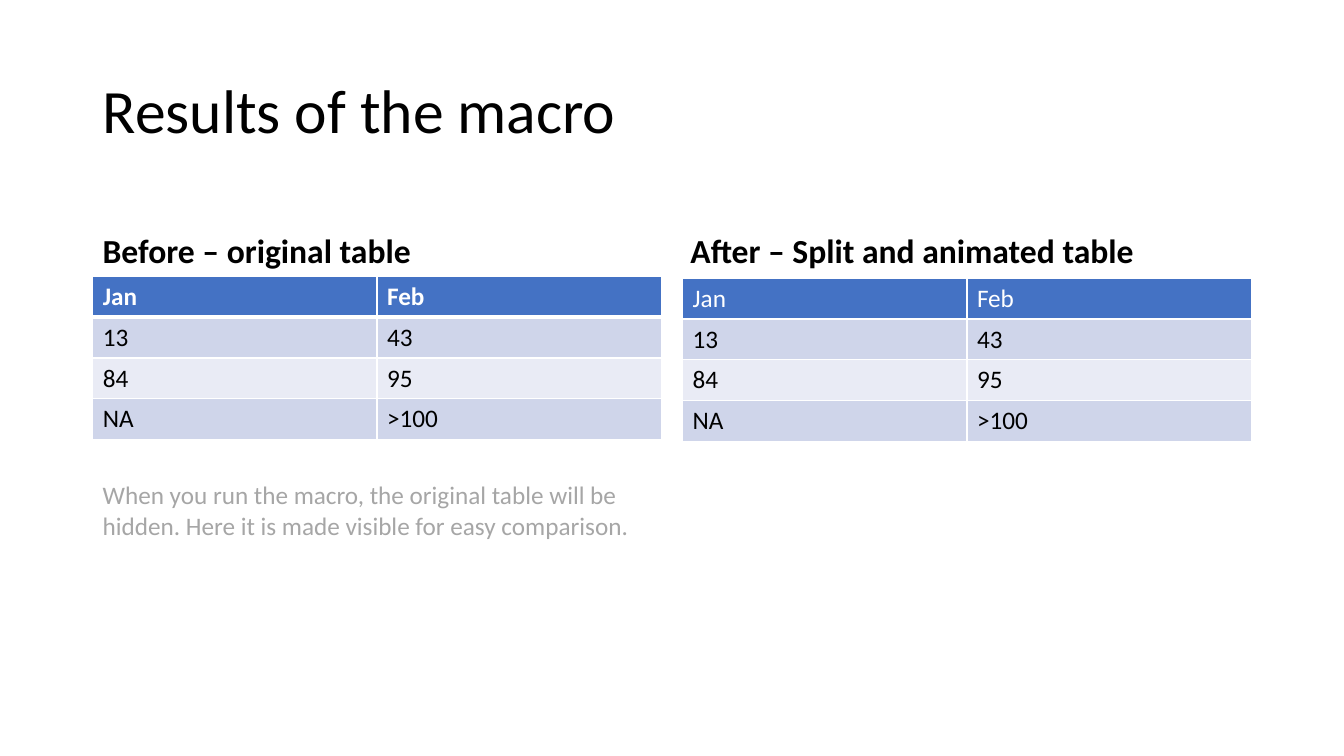
from lxml.etree import SubElement
from pptx import Presentation
from pptx.dml.color import RGBColor
from pptx.enum.text import MSO_ANCHOR, MSO_AUTO_SIZE
from pptx.oxml.ns import qn
from pptx.util import Inches, Pt

TITLE = "Results of the macro"
BEFORE_HEADING = "Before – original table"
AFTER_HEADING = "After – Split and animated table"
NOTE = ("When you run the macro, the original table will be hidden. "
        "Here it is made visible for easy comparison.")
ROWS = [("Jan", "Feb"), ("13", "43"), ("84", "95"), ("NA", ">100")]

THEME = {
    "font": "Calibri",
    "title_size": 44,
    "heading_size": 24,
    "body_size": 18,
    "text": "000000",
    "muted": "A6A6A6",
    "header_text": "FFFFFF",
    "header_fill": "4472C4",
    "band_fills": ("E9EBF5", "CFD5EA"),
    "border": "FFFFFF",
    "border_width": 1,
    "header_rule_width": 3,
}

LEFT = 0.92
COLUMN_WIDTH = 2.82
TABLE_WIDTH = COLUMN_WIDTH * len(ROWS[0])
TABLE_HEIGHT = 1.62
ROW_HEIGHT = TABLE_HEIGHT / len(ROWS)
BEFORE_TOP = 2.74
AFTER_LEFT, AFTER_TOP = 6.77, 2.76


def style_paragraph(paragraph, size, color, bold=False):
    for run in paragraph.runs:
        run.font.name = THEME["font"]
        run.font.size = Pt(size)
        run.font.bold = bold
        run.font.color.rgb = RGBColor.from_string(color)


def add_text(slide, box, text, size, color, bold=False,
             anchor=MSO_ANCHOR.TOP, line_spacing=1.0, space_before=0):
    shape = slide.shapes.add_textbox(*map(Inches, box))
    text_frame = shape.text_frame
    text_frame.word_wrap = True
    text_frame.auto_size = MSO_AUTO_SIZE.NONE
    text_frame.vertical_anchor = anchor
    text_frame.text = text
    paragraph = text_frame.paragraphs[0]
    paragraph.line_spacing = line_spacing
    paragraph.space_before = Pt(space_before)
    style_paragraph(paragraph, size, color, bold)
    return shape


def set_borders(cell, top, bottom):
    properties = cell._tc.get_or_add_tcPr()
    side = THEME["border_width"]
    for tag, width in (("lnL", side), ("lnR", side), ("lnT", top), ("lnB", bottom)):
        line = SubElement(properties, qn(f"a:{tag}"), w=str(Pt(width)))
        fill = SubElement(line, qn("a:solidFill"))
        SubElement(fill, qn("a:srgbClr"), val=THEME["border"])


def add_table(slide, left, top, rows, first_row=0, bold_header=False):
    frame = slide.shapes.add_table(
        len(rows), len(rows[0]), Inches(left), Inches(top),
        Inches(COLUMN_WIDTH * len(rows[0])), Inches(ROW_HEIGHT * len(rows)))
    table = frame.table
    thin = THEME["border_width"]
    header_rule = THEME["header_rule_width"] if bold_header else thin
    for row_index, values in enumerate(rows, first_row):
        is_header = row_index == 0
        color = THEME["header_text"] if is_header else THEME["text"]
        fill = THEME["header_fill"] if is_header else THEME["band_fills"][row_index % 2]
        for column_index, value in enumerate(values):
            cell = table.cell(row_index - first_row, column_index)
            cell.text_frame.text = value
            style_paragraph(cell.text_frame.paragraphs[0], THEME["body_size"],
                            color, is_header and bold_header)
            set_borders(cell, header_rule if row_index == 1 else thin,
                        header_rule if is_header else thin)
            cell.fill.solid()
            cell.fill.fore_color.rgb = RGBColor.from_string(fill)


def add_split_table(slide, left, top, rows):
    for row_index, values in enumerate(rows):
        for column_index, value in enumerate(values):
            add_table(slide, left + column_index * COLUMN_WIDTH,
                      top + row_index * ROW_HEIGHT, [(value,)], row_index)


def main():
    presentation = Presentation()
    presentation.slide_width = Inches(13.33)
    presentation.slide_height = Inches(7.5)
    slide = presentation.slides.add_slide(presentation.slide_layouts[6])

    add_text(slide, (LEFT, 0.4, 11.5, 1.45), TITLE, THEME["title_size"],
             THEME["text"], anchor=MSO_ANCHOR.MIDDLE, line_spacing=0.9)
    for heading, left, width in ((BEFORE_HEADING, LEFT, TABLE_WIDTH),
                                 (AFTER_HEADING, 6.75, 5.67)):
        add_text(slide, (left, 1.84, width, 0.9), heading, THEME["heading_size"],
                 THEME["text"], bold=True, anchor=MSO_ANCHOR.BOTTOM,
                 line_spacing=0.9, space_before=10)
    add_table(slide, LEFT, BEFORE_TOP, ROWS, bold_header=True)
    add_split_table(slide, AFTER_LEFT, AFTER_TOP, ROWS)
    note = add_text(slide, (LEFT, 4.71, TABLE_WIDTH, 0.71), NOTE,
                    THEME["body_size"], THEME["muted"])
    note.text_frame.auto_size = MSO_AUTO_SIZE.SHAPE_TO_FIT_TEXT

    presentation.save("out.pptx")


if __name__ == "__main__":
    main()
